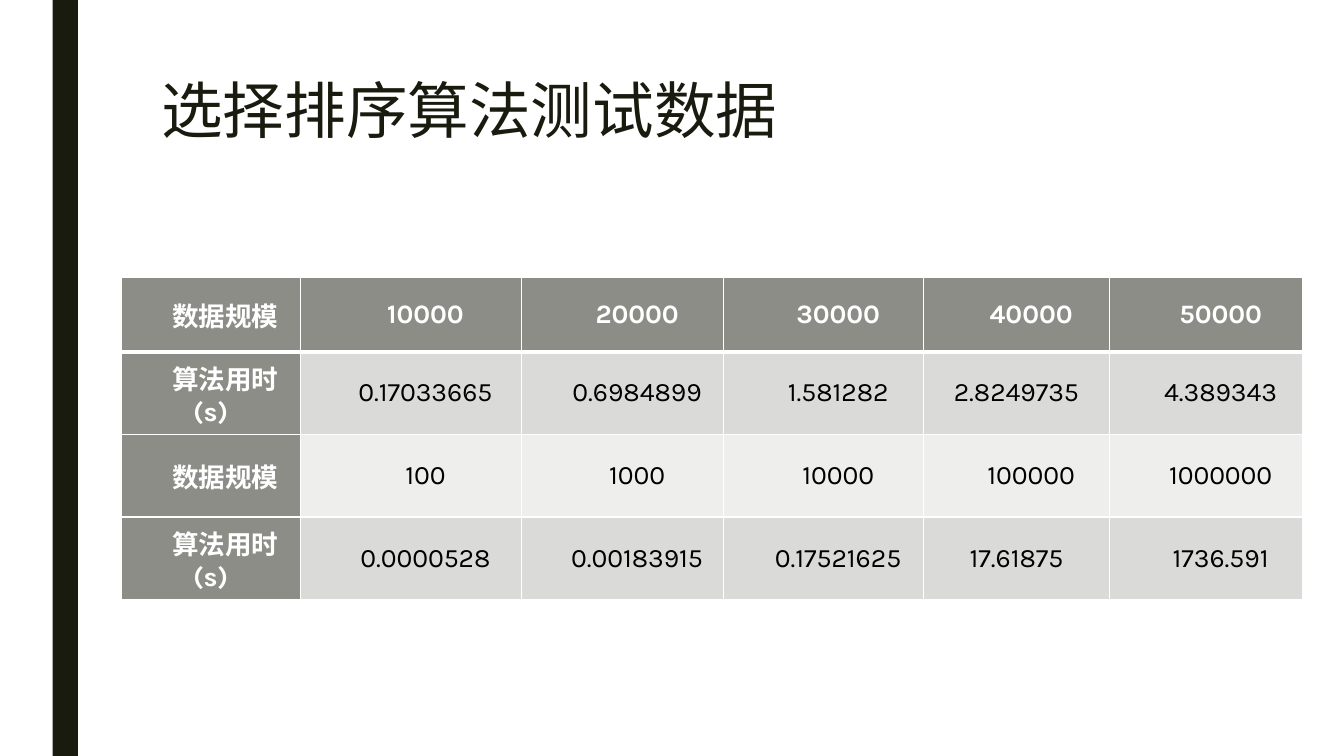
from pptx import Presentation
from pptx.dml.color import RGBColor
from pptx.enum import lang, shapes, text
from pptx.oxml import ns, xmlchemy
from pptx.util import Pt

FONT = "Karla"
INK, WHITE, BLACK = "191B0E", "FFFFFF", "000000"
HEADING, BAND, LIGHT_BAND = "8C8D86", "DADBD9", "EEEEED"
COLUMN_WIDTHS = [128.16, 157.68, 144.72, 142.56, 133.2, 137.52]
ROW_HEIGHTS = [53.28, 59.04, 59.04, 59.04]
ROWS = [
    ["数据规模", "10000", "20000", "30000", "40000", "50000"],
    ["算法用时(s)", "0.17033665", "0.6984899", "1.581282", "2.8249735", "4.389343"],
    ["数据规模", "100", "1000", "10000", "100000", "1000000"],
    ["算法用时(s)", "0.0000528", "0.00183915", "0.17521625", "17.61875", "1736.591"],
]
UNINDENTED = {(1, 4), (3, 4)}


def paint(fill, colour):
    fill.solid()
    fill.fore_color.rgb = RGBColor.from_string(colour)


def style_font(para, size, colour, bold=False):
    font = para.font
    font.name, font.size, font.bold = FONT, Pt(size), bold
    font.language_id = lang.MSO_LANGUAGE_ID.SIMPLIFIED_CHINESE
    paint(font.fill, colour)


def add_side_bar(page):
    bar = page.shapes.add_shape(shapes.MSO_SHAPE.RECTANGLE, Pt(37.6), 0, Pt(18), Pt(540))
    bar.shadow.inherit = False
    bar.line.fill.background()
    paint(bar.fill, INK)


def set_title(page, wording):
    title = page.shapes.title
    title.left, title.top, title.width, title.height = Pt(108), Pt(54), Pt(756), Pt(116.64)
    frame = title.text_frame
    frame.text = wording
    frame.auto_size = text.MSO_AUTO_SIZE.NONE
    frame.vertical_anchor = text.MSO_ANCHOR.TOP
    para = frame.paragraphs[0]
    para.alignment = text.PP_ALIGN.LEFT
    para.line_spacing = 0.89
    style_font(para, 44, INK)


def add_borders(cell, widths):
    """Draw white cell borders; widths maps L, R, T, B to points."""
    properties = cell._tc.get_or_add_tcPr()
    for side, width in widths.items():
        line = xmlchemy.OxmlElement(f"a:ln{side}")
        line.set("w", str(Pt(width)))
        solid = xmlchemy.OxmlElement("a:solidFill")
        colour = xmlchemy.OxmlElement("a:srgbClr")
        colour.set("val", WHITE)
        solid.append(colour)
        line.append(solid)
        properties.append(line)


def fill_cell(cell, wording, background, is_heading, indent, borders):
    add_borders(cell, borders)
    paint(cell.fill, background)
    cell.margin_left = cell.margin_right = Pt(9.36)
    cell.margin_top = cell.margin_bottom = 0
    cell.vertical_anchor = text.MSO_ANCHOR.MIDDLE
    cell.text = wording
    para = cell.text_frame.paragraphs[0]
    para.alignment = text.PP_ALIGN.CENTER
    para._p.get_or_add_pPr().set("indent", str(Pt(indent)))
    style_font(para, 19, WHITE if is_heading else BLACK, is_heading)


def add_timing_table(page):
    frame = page.shapes.add_table(len(ROWS), len(COLUMN_WIDTHS), Pt(86.4), Pt(198),
                                  Pt(sum(COLUMN_WIDTHS)), Pt(sum(ROW_HEIGHTS)))
    table = frame.table
    for column, width in zip(table.columns, COLUMN_WIDTHS):
        column.width = Pt(width)
    for row, height in zip(table.rows, ROW_HEIGHTS):
        row.height = Pt(height)
    for r, values in enumerate(ROWS):
        borders = {"L": 1, "R": 1, "T": 3 if r == 1 else 1, "B": 3 if r == 0 else 1}
        for c, value in enumerate(values):
            is_heading = r == 0 or c == 0
            background = HEADING if is_heading else BAND if r % 2 else LIGHT_BAND
            indent = 0 if (r, c) in UNINDENTED else 21
            fill_cell(table.cell(r, c), value, background, is_heading, indent, borders)


def main():
    deck = Presentation()
    deck.slide_width, deck.slide_height = Pt(960), Pt(540)
    page = deck.slides.add_slide(deck.slide_layouts[5])
    paint(page.background.fill, WHITE)
    add_side_bar(page)
    set_title(page, "选择排序算法测试数据")
    add_timing_table(page)
    deck.save("out.pptx")


if __name__ == "__main__":
    main()
